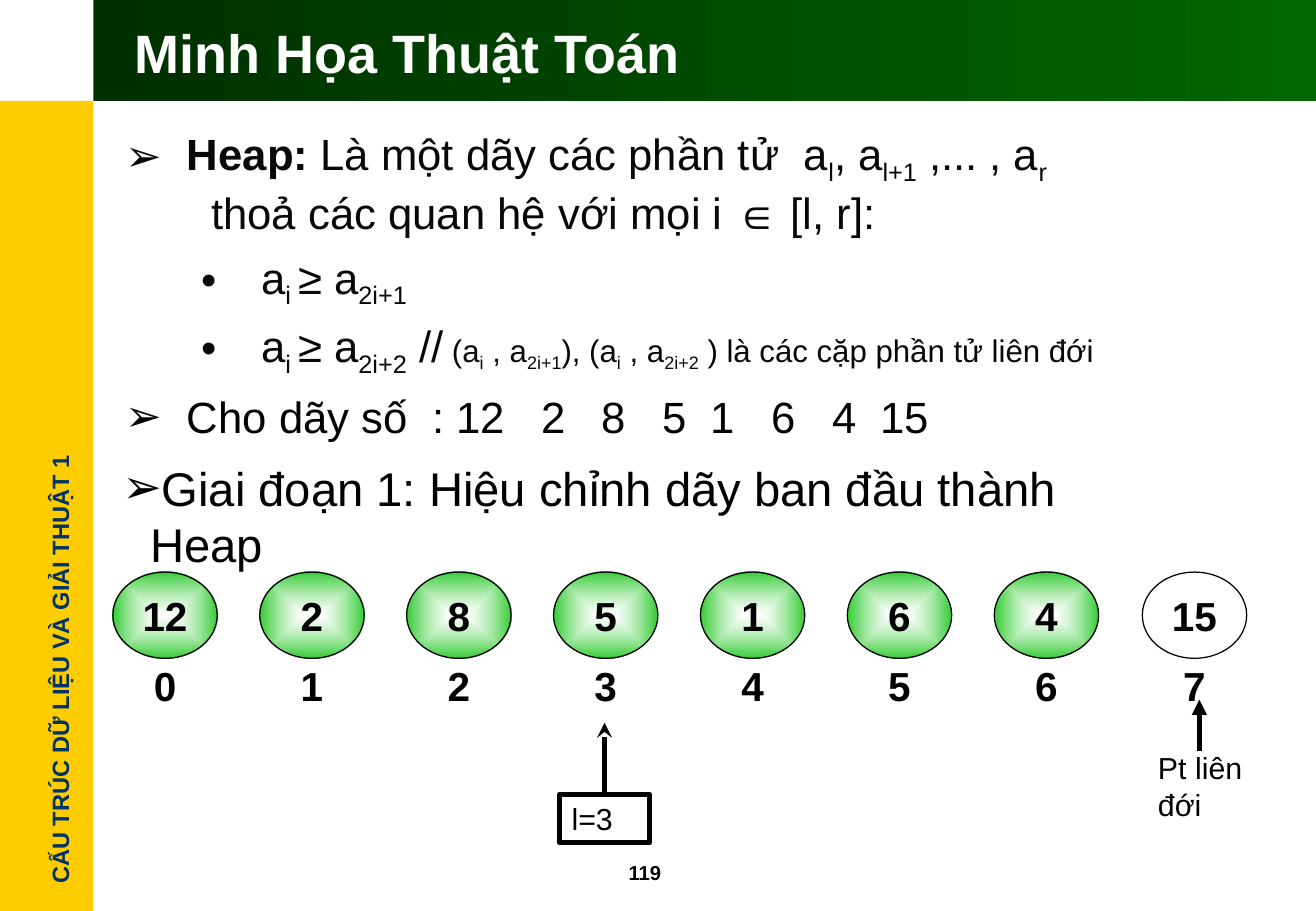
from lxml.etree import SubElement
from pptx import Presentation
from pptx.dml.color import RGBColor
from pptx.enum.shapes import MSO_CONNECTOR, MSO_SHAPE
from pptx.enum.text import MSO_ANCHOR, MSO_AUTO_SIZE, PP_ALIGN
from pptx.oxml import parse_xml
from pptx.oxml.ns import nsdecls, qn
from pptx.util import Pt

PX = 9144
FONT = "Arial"
BLACK = RGBColor(0, 0, 0)
WHITE = RGBColor(0xFF, 0xFF, 0xFF)
INK = RGBColor(0x08, 0x08, 0x08)
NAVY = RGBColor(0x00, 0x33, 0x66)
YELLOW = RGBColor(0xFF, 0xCC, 0x00)
DARK_GREEN = RGBColor(0x00, 0x2F, 0x00)
GREEN = RGBColor(0x00, 0x66, 0x00)
LIME = RGBColor(0x33, 0xCC, 0x33)

BODY_SIZE = 25.9
NOTE_SIZE = 18.5
VALUES = [12, 2, 8, 5, 1, 6, 4, 15]
OVAL_LEFT, OVAL_SPAN = 93, 848
OVAL_W, OVAL_H = 86, 71


def px(*lengths):
    return [n * PX for n in lengths]


def place(sp, left, top, width, height):
    sp.left, sp.top, sp.width, sp.height = px(left, top, width, height)


def style_run(r, size, color, bold=False):
    r.font.name = FONT
    r.font.size = Pt(size)
    r.font.bold = bold
    r.font.color.rgb = color


def set_text(sp, text, size, color, bold=False, align=PP_ALIGN.LEFT):
    sp.text_frame.text = text
    p = sp.text_frame.paragraphs[0]
    p.alignment = align
    style_run(p.runs[0], size, color, bold)
    return p


def add_text(s, box, text, size, color, bold=False, wrap=True):
    sp = s.shapes.add_textbox(*px(*box))
    sp.text_frame.word_wrap = wrap
    set_text(sp, text, size, color, bold)
    return sp


def add_preset(s, shape, box):
    sp = s.shapes.add_shape(shape, *px(*box))
    sp.shadow.inherit = False
    sp.fill.background()
    sp.line.fill.background()
    sp.text_frame.vertical_anchor = MSO_ANCHOR.MIDDLE
    return sp


def add_backdrop(s, box):
    sp = add_preset(s, MSO_SHAPE.RECTANGLE, box)
    s.shapes._spTree.insert(2, sp._element)
    return sp


def add_oval(s, box, text):
    sp = add_preset(s, MSO_SHAPE.OVAL, box)
    set_text(sp, text, 24, BLACK, True, PP_ALIGN.CENTER)
    return sp


def fill_glow(sp):
    sp_pr = sp._element.spPr
    old = sp_pr.find(qn("a:noFill"))
    glow = parse_xml(
        f'<a:gradFill {nsdecls("a")} rotWithShape="0"><a:gsLst>'
        f'<a:gs pos="0"><a:srgbClr val="{WHITE}"><a:alpha val="60000"/></a:srgbClr></a:gs>'
        f'<a:gs pos="100000"><a:srgbClr val="{LIME}"/></a:gs></a:gsLst>'
        '<a:path path="rect"><a:fillToRect l="50000" t="50000" r="50000" b="50000"/>'
        '</a:path></a:gradFill>')
    sp_pr.replace(old, glow)


def add_arrow(s, x, start, end, head):
    line = s.shapes.add_connector(MSO_CONNECTOR.STRAIGHT, *px(x, start, x, end))
    line.line.color.rgb = BLACK
    line.line.width = Pt(3)
    SubElement(line.line._get_or_add_ln(), qn("a:tailEnd"), type=head)
    SubElement(line._element.spPr, qn("a:effectLst"))
    return line


def set_bullet(p, char, color, margin, indent):
    p_pr = p._p.get_or_add_pPr()
    p_pr.set("marL", str(margin * PX))
    p_pr.set("indent", str(-indent * PX))
    SubElement(SubElement(p_pr, qn("a:buClr")), qn("a:srgbClr"), val=str(color))
    SubElement(p_pr, qn("a:buFont"), typeface=FONT)
    SubElement(p_pr, qn("a:buChar"), char=char)


def add_pieces(p, pieces, size=BODY_SIZE, color=INK, bold=False):
    for i, piece in enumerate(pieces):
        r = p.add_run()
        r.text = piece
        style_run(r, size, color, bold)
        if i % 2:
            r.font._element.set("baseline", "-25000")


def add_break(p):
    p.add_line_break()
    SubElement(p._p.find(qn("a:br")), qn("a:rPr"), sz=str(round(BODY_SIZE * 100)))


def add_item(tf, space, level=0, color=INK):
    p = tf.add_paragraph() if tf.paragraphs[0].runs else tf.paragraphs[0]
    p.level = level
    p.space_before = Pt(space)
    if level:
        set_bullet(p, "•", color, 112, 49)
    else:
        set_bullet(p, "➢", color, 51, 51)
    return p


def fill_title(title):
    place(title, 101, 9, 961, 67)
    set_text(title, "Minh Họa Thuật Toán", 32, WHITE, True)
    title.text_frame.vertical_anchor = MSO_ANCHOR.MIDDLE
    title.text_frame.auto_size = MSO_AUTO_SIZE.NONE


def fill_body(body):
    place(body, 93, 99, 977, 268)
    tf = body.text_frame
    tf.auto_size = MSO_AUTO_SIZE.NONE
    p = add_item(tf, 7)
    add_pieces(p, ["Heap: "], bold=True)
    add_pieces(p, ["Là một dãy các phần tử  a", "l", ", a", "l+1", " ,... , a", "r "])
    add_break(p)
    add_pieces(p, ["  thoả các quan hệ với mọi i ∈ [l, r]:"])
    add_pieces(add_item(tf, 7, 1), ["a", "i ", "≥ a", "2i+1"])
    p = add_item(tf, 5, 1)
    add_pieces(p, ["a", "i ", "≥ a", "2i+2", " //"])
    add_pieces(p, [" (a", "i", " , a", "2i+1", "), (a", "i", " , a", "2i+2",
                   " ) là các cặp phần tử liên đới"], NOTE_SIZE)
    p = add_item(tf, 7, color=BLACK)
    add_pieces(p, ["Cho dãy số  : 12   2   8   5  1   6   4  15"], color=BLACK)


def add_frame(s):
    side = add_backdrop(s, (0, 83, 77, 667))
    side.fill.solid()
    side.fill.fore_color.rgb = YELLOW
    header = add_backdrop(s, (77, 0, 1007, 83))
    header.fill.gradient()
    header.fill.gradient_angle = 0
    for stop, color, position in zip(header.fill.gradient_stops, (DARK_GREEN, GREEN), (0, 1)):
        stop.color.rgb = color
        stop.position = position
    course = add_text(s, (-137, 534, 373, 34), "CẤU TRÚC DỮ LIỆU VÀ GIẢI THUẬT 1",
                      14, NAVY, True, wrap=False)
    course.rotation = 270
    add_text(s, (508, 703, 83, 30), "119", 12, BLACK, True)


def add_array(s):
    last = len(VALUES) - 1
    for i, value in enumerate(VALUES):
        left = OVAL_LEFT + OVAL_SPAN * i // last
        node = add_oval(s, (left, 471, OVAL_W, OVAL_H), str(value))
        node.line.color.rgb = BLACK
        node.line.width = Pt(0.75)
        if i < last:
            fill_glow(node)
        else:
            node.fill.solid()
            node.fill.fore_color.rgb = WHITE
        add_oval(s, (left, 529, OVAL_W, OVAL_H), str(i))


def add_pointers(s):
    marker = add_preset(s, MSO_SHAPE.RECTANGLE, (461, 654, 74, 40))
    marker.line.color.rgb = BLACK
    marker.line.width = Pt(3)
    set_text(marker, "l=3", 18, BLACK)
    add_arrow(s, 498, 654, 595, "stealth").begin_connect(marker, 0)
    add_text(s, (944, 612, 92, 70), "Pt liên đới", 18, BLACK)
    add_arrow(s, 988, 618, 576, "triangle")


def main():
    prs = Presentation()
    prs.slide_width, prs.slide_height = px(1084, 750)
    s = prs.slides.add_slide(prs.slide_layouts[1])
    fill_title(s.shapes.title)
    fill_body(s.placeholders[1])
    add_frame(s)
    phase = add_text(s, (91, 373, 850, 57),
                     "Giai đoạn 1: Hiệu chỉnh dãy ban đầu thành Heap", 28, BLACK)
    set_bullet(phase.text_frame.paragraphs[0], "➢", BLACK, 23, 23)
    add_array(s)
    add_pointers(s)
    prs.save("out.pptx")


if __name__ == "__main__":
    main()
